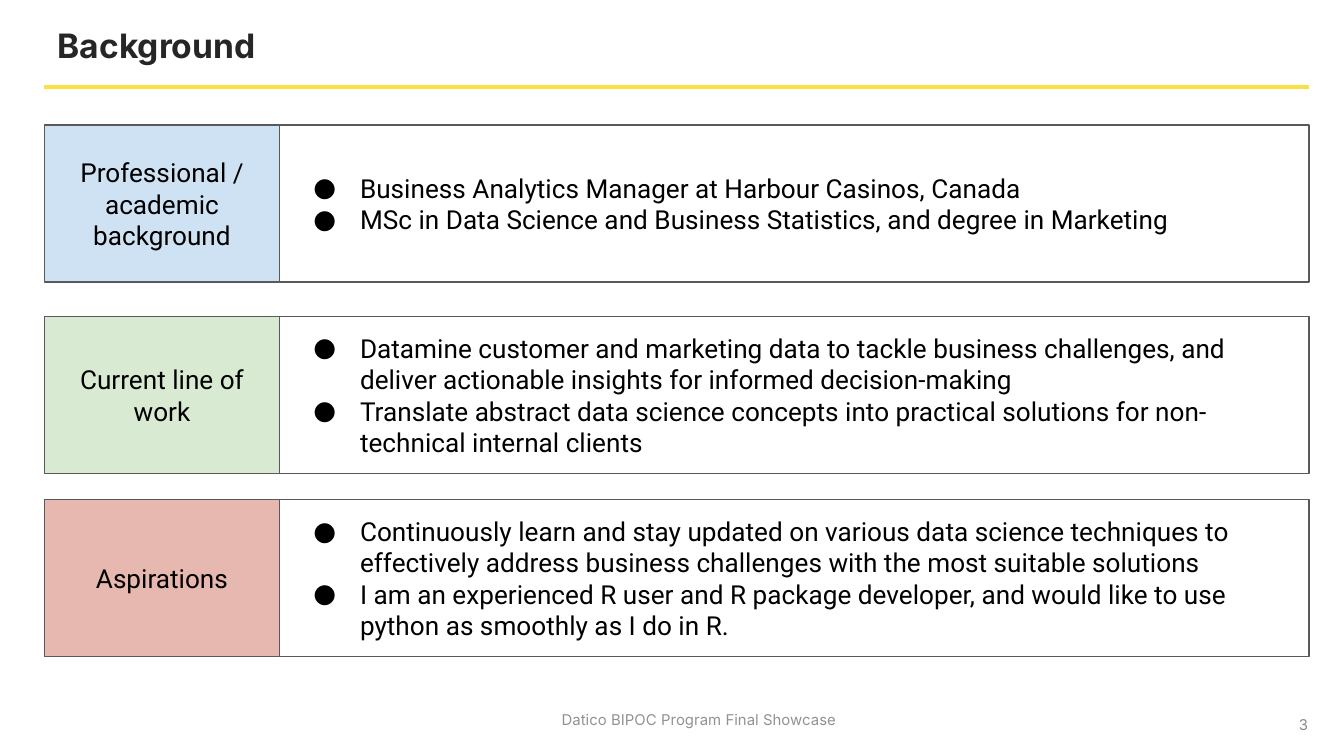
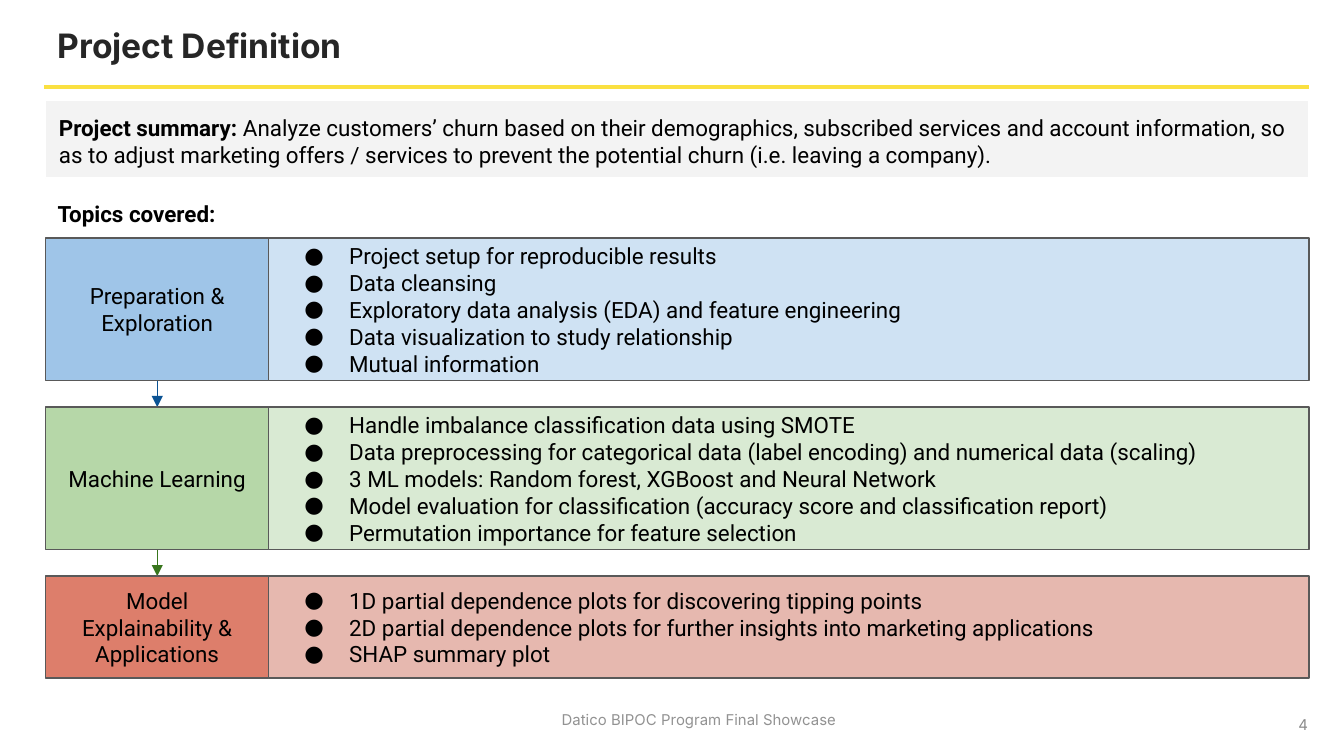
from dataclasses import dataclass

from lxml.etree import SubElement
from pptx import Presentation
from pptx.dml.color import RGBColor
from pptx.enum.shapes import MSO_CONNECTOR as Connector, MSO_SHAPE as Shape
from pptx.enum.text import MSO_ANCHOR as Anchor, PP_ALIGN as Align
from pptx.oxml.ns import qn
from pptx.util import Pt


@dataclass(frozen=True)
class Theme:
    heading_font: str = "Inter"
    body_font: str = "Roboto"
    title_size: float = 18
    large_size: float = 14
    body_size: float = 12
    footer_size: float = 8
    title: str = "262626"
    text: str = "000000"
    footer: str = "929292"
    number: str = "8B8B8B"
    rule: str = "FAE041"
    border: str = "595959"
    white: str = "FFFFFF"
    grey: str = "F3F3F3"
    light_blue: str = "CFE2F3"
    light_green: str = "D9EAD3"
    light_red: str = "E6B8AF"
    blue: str = "9FC5E8"
    green: str = "B6D7A8"
    red: str = "DD7E6B"
    dark_blue: str = "0B5394"
    dark_green: str = "38761D"


THEME = Theme()
LEFT, RIGHT = 23.8, 701.3
PANEL_LEFT = 24.5
FOOTER = "Datico BIPOC Program Final Showcase"


def rgb(value):
    return RGBColor.from_string(value)


def apply(target, values):
    for name, value in values.items():
        setattr(target, name, value)


# Text
def add_span(para, text, size, color=THEME.text, font=THEME.body_font, bold=False):
    span = para.add_run()
    span.text = text
    apply(span.font, {"size": Pt(size), "name": font, "bold": bold})
    span.font.color.rgb = rgb(color)


def set_frame(box, anchor, margin):
    apply(box.text_frame, {
        "word_wrap": True, "vertical_anchor": anchor,
        "margin_left": Pt(7.2), "margin_right": Pt(7.2),
        "margin_top": Pt(margin), "margin_bottom": Pt(margin),
    })


def add_text(page, area, text, size, align=Align.LEFT, anchor=Anchor.TOP,
             margin=3.6, **style):
    box = page.shapes.add_textbox(*map(Pt, area))
    set_frame(box, anchor, margin)
    para = box.text_frame.paragraphs[0]
    para.alignment = align
    add_span(para, text, size, **style)


def add_bullet(para, indent):
    props = para._p.get_or_add_pPr()
    props.set("marL", str(Pt(36)))
    props.set("indent", str(-Pt(indent)))
    color = SubElement(props, qn("a:buClr"))
    SubElement(color, qn("a:srgbClr"), val=THEME.text)
    SubElement(props, qn("a:buFont"), typeface=THEME.body_font)
    SubElement(props, qn("a:buChar"), char="●")


# Boxes and lines
def add_panel(page, area, fill, border=THEME.border, anchor=Anchor.MIDDLE):
    box = page.shapes.add_shape(Shape.RECTANGLE, *map(Pt, area))
    box.shadow.inherit = False
    box.fill.solid()
    box.fill.fore_color.rgb = rgb(fill)
    box.line.color.rgb = rgb(border)
    box.line.width = Pt(0.75)
    set_frame(box, anchor, 7.2)
    box.text_frame.paragraphs[0].alignment = Align.LEFT
    return box


def add_line(page, start, end, color, width, arrow=False):
    line = page.shapes.add_connector(Connector.STRAIGHT, *map(Pt, start + end))
    line.line.color.rgb = rgb(color)
    line.line.width = Pt(width)
    if arrow:
        SubElement(line.line._get_or_add_ln(), qn("a:tailEnd"), type="triangle")
    SubElement(line._element.spPr, qn("a:effectLst"))


def add_row(page, left, top, label_width, height, row, size, indent):
    label, label_fill, list_fill, items = row
    box = add_panel(page, (left, top, label_width, height), label_fill)
    para = box.text_frame.paragraphs[0]
    para.alignment = Align.CENTER
    add_span(para, label, size)

    list_left = left + label_width
    box = add_panel(page, (list_left, top, RIGHT - list_left, height), list_fill)
    frame = box.text_frame
    for index, item in enumerate(items):
        para = frame.add_paragraph() if index else frame.paragraphs[0]
        para.alignment = Align.LEFT
        add_bullet(para, indent)
        add_span(para, item, size)


# Title, rule and footer shared by every page
def add_page(deck, title, number):
    page = deck.slides.add_slide(deck.slide_layouts[6])
    add_text(page, (293.8, 377.3, 164.2, 17.3), FOOTER, THEME.footer_size,
             color=THEME.footer, font=THEME.heading_font)
    add_text(page, (545.8, 377.3, 162, 21.6), str(number), THEME.footer_size,
             Align.RIGHT, Anchor.MIDDLE, color=THEME.number, font=THEME.heading_font)
    add_line(page, (LEFT, 46.8), (RIGHT, 46.8), THEME.rule, 2)
    add_text(page, (LEFT, 3, 584.6, 41.8), title, THEME.title_size,
             anchor=Anchor.MIDDLE, color=THEME.title, font=THEME.heading_font, bold=True)
    return page


def build_background(deck):
    page = add_page(deck, "Background", 3)
    rows = [
        (67, ("Professional / academic background", THEME.light_blue, THEME.white, [
            "Business Analytics Manager at Harbour Casinos, Canada",
            "MSc in Data Science and Business Statistics, and degree in Marketing",
        ])),
        (169.5, ("Current line of work", THEME.light_green, THEME.white, [
            "Datamine customer and marketing data to tackle business challenges, "
            "and deliver actionable insights for informed decision-making",
            "Translate abstract data science concepts into practical solutions "
            "for non-technical internal clients",
        ])),
        (267.7, ("Aspirations", THEME.light_red, THEME.white, [
            "Continuously learn and stay updated on various data science techniques "
            "to effectively address business challenges with the most suitable solutions",
            "I am an experienced R user and R package developer, and would like "
            "to use python as smoothly as I do in R.",
        ])),
    ]
    for top, row in rows:
        add_row(page, LEFT, top, 126, 84.2, row, THEME.large_size, 25)


def build_project(deck):
    page = add_page(deck, "Project Definition", 4)

    # Summary
    summary = add_panel(page, (PANEL_LEFT, 54, RIGHT - PANEL_LEFT, 41.5),
                        THEME.grey, THEME.white, Anchor.TOP)
    para = summary.text_frame.paragraphs[0]
    add_span(para, "Project summary: ", THEME.body_size, bold=True)
    add_span(para, "Analyze customers’ churn based on their demographics, subscribed "
             "services and account information, so as to adjust marketing offers / "
             "services to prevent the potential churn (i.e. leaving a company).",
             THEME.body_size)
    add_text(page, (LEFT, 100, 236, 29), "Topics covered:", THEME.body_size,
             margin=7.2, bold=True)

    # Topics: row height, colour of the arrow below, row content
    topics = [
        (76.4, THEME.dark_blue,
         ("Preparation & Exploration", THEME.blue, THEME.light_blue, [
             "Project setup for reproducible results",
             "Data cleansing",
             "Exploratory data analysis (EDA) and feature engineering",
             "Data visualization to study relationship",
             "Mutual information",
         ])),
        (76.4, THEME.dark_green,
         ("Machine Learning", THEME.green, THEME.light_green, [
             "Handle imbalance classification data using SMOTE",
             "Data preprocessing for categorical data (label encoding) "
             "and numerical data (scaling)",
             "3 ML models: Random forest, XGBoost and Neural Network",
             "Model evaluation for classification "
             "(accuracy score and classification report)",
             "Permutation importance for feature selection",
         ])),
        (54.6, None,
         ("Model Explainability & Applications", THEME.red, THEME.light_red, [
             "1D partial dependence plots for discovering tipping points",
             "2D partial dependence plots for further insights "
             "into marketing applications",
             "SHAP summary plot",
         ])),
    ]
    top, gap, label_width = 127.5, 14.2, 119.5
    center = PANEL_LEFT + label_width / 2
    for height, arrow_color, row in topics:
        add_row(page, PANEL_LEFT, top, label_width, height, row, THEME.body_size, 24)
        bottom = top + height
        top = bottom + gap
        if arrow_color:
            add_line(page, (center, bottom), (center, top), arrow_color, 0.75, arrow=True)


def main():
    deck = Presentation()
    apply(deck, {"slide_width": Pt(720), "slide_height": Pt(405)})
    build_background(deck)
    build_project(deck)
    deck.save("out.pptx")


if __name__ == "__main__":
    main()
